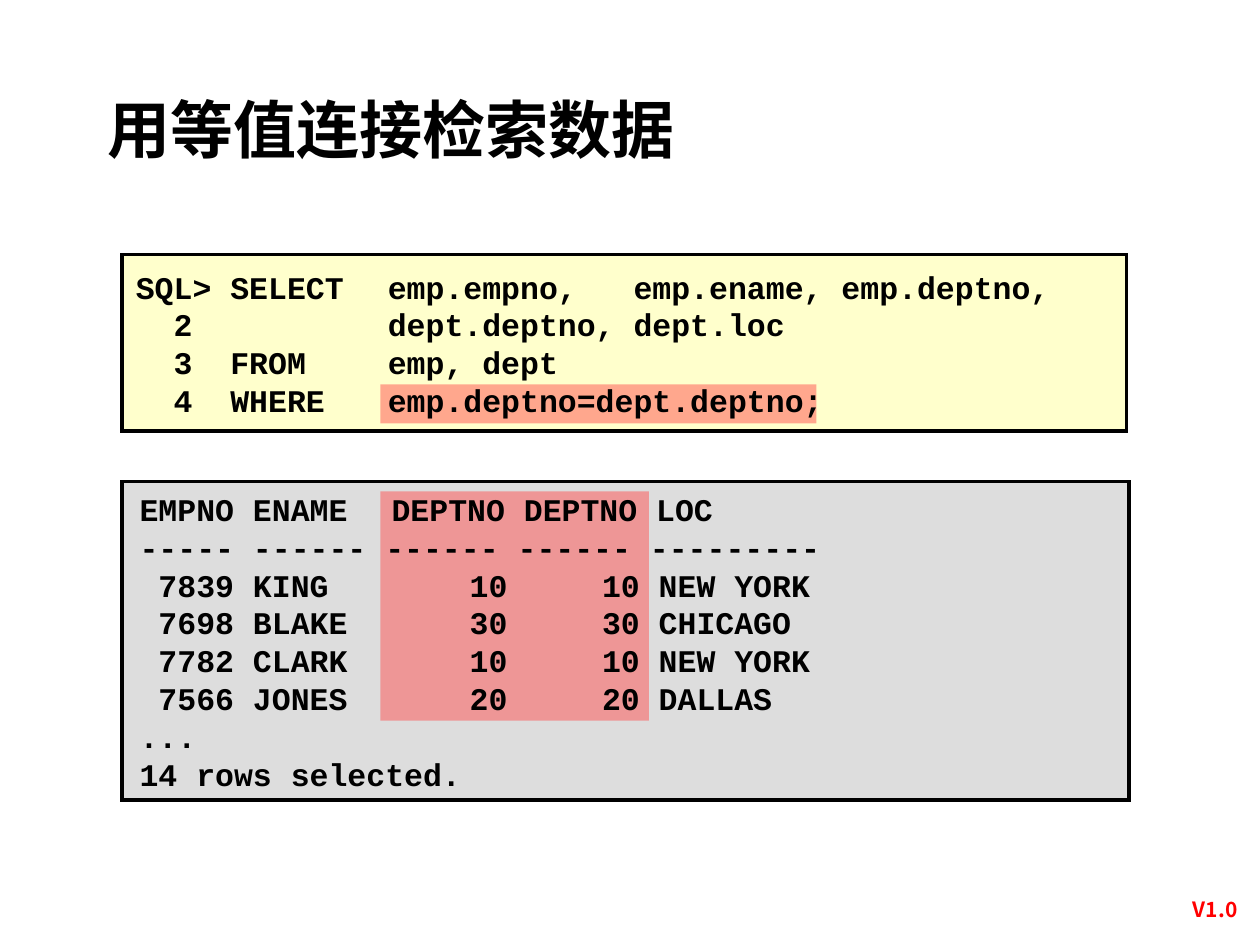
"""Build the slide on retrieving data with an equijoin."""
from dataclasses import dataclass

from lxml import etree
from pptx import Presentation
from pptx.dml.color import RGBColor
from pptx.enum.shapes import MSO_SHAPE
from pptx.enum.text import MSO_ANCHOR, MSO_AUTO_SIZE, PP_ALIGN
from pptx.oxml.ns import qn
from pptx.util import Inches, Pt

RECT = MSO_SHAPE.RECTANGLE
TOP, MIDDLE = MSO_ANCHOR.TOP, MSO_ANCHOR.MIDDLE
LEFT, CENTER = PP_ALIGN.LEFT, PP_ALIGN.CENTER
NO_FIT = MSO_AUTO_SIZE.NONE
MONO, SANS = "Courier New", "Noto Sans CJK SC"
BLACK, RED, HIGHLIGHT = "000000", "FF0000", "FF5050"

QUERY = [
    "SQL> SELECT \temp.empno,   emp.ename, emp.deptno,\v  2\t\tdept.deptno, dept.loc",
    "  3  FROM   \temp, dept",
    "  4  WHERE  \temp.deptno=dept.deptno;",
]
RESULT = [
    "EMPNO ENAME \tDEPTNO DEPTNO LOC",
    "----- ------ ------ ------ ---------",
    " 7839 KING\t    \t10     10 NEW YORK",
    " 7698 BLAKE  \t    \t30     30 CHICAGO",
    " 7782 CLARK\t    \t10     10 NEW YORK",
    " 7566 JONES      \t20     20 DALLAS",
    "...",
    "14 rows selected.",
]


@dataclass
class Box:
    """Position and size in inches."""
    left: float
    top: float
    width: float
    height: float

    def lengths(self) -> tuple:
        """Return the four lengths."""
        return tuple(Inches(v) for v in (self.left, self.top, self.width, self.height))


@dataclass
class Panel:
    """A filled rectangle, outlined or translucent."""
    box: Box
    fill: str
    line: bool = True
    alpha: int = 100


@dataclass
class Code:
    """A block of monospaced lines with tab stops."""
    box: Box
    lines: list[str]
    tabs: list[float]
    anchor: MSO_ANCHOR = TOP


PANELS = [
    Panel(Box(0.97, 2.02, 7.97, 1.4), "FFFFCC"),
    Panel(Box(0.97, 3.82, 7.99, 2.53), "DDDDDD"),
    Panel(Box(3.02, 3.05, 3.46, 0.31), HIGHLIGHT, False, 50),
    Panel(Box(3.02, 3.9, 2.13, 1.82), HIGHLIGHT, False, 50),
]
CODES = [
    Code(Box(0.98, 2.01, 8, 1.43), QUERY, [1.31, 2], MIDDLE),
    Code(Box(1.01, 3.84, 7.96, 2.5), RESULT, [2, 2.62, 3.38, 4.62]),
]


def color(value: str) -> RGBColor:
    """Turn a hex string into a colour."""
    return RGBColor.from_string(value)


def style(p, size: float, name: str, value: str) -> None:
    """Format all runs of a paragraph in bold."""
    for r in p.runs:
        r.font.size, r.font.name, r.font.bold = Pt(size), name, True
        r.font.color.rgb = color(value)
        etree.SubElement(r.font._element, qn("a:ea"), typeface=name)


def add_panel(s, panel: Panel) -> None:
    """Draw a filled rectangle."""
    sp = s.shapes.add_shape(RECT, *panel.box.lengths())
    sp.shadow.inherit = False
    sp.fill.solid()
    sp.fill.fore_color.rgb = color(panel.fill)
    if panel.alpha < 100:
        clr = sp._element.spPr.find(f"{qn('a:solidFill')}/{qn('a:srgbClr')}")
        etree.SubElement(clr, qn("a:alpha"), val=str(panel.alpha * 1000))
    if panel.line:
        sp.line.color.rgb = color(BLACK)
        sp.line.width = Pt(2)
        ln = sp._element.spPr.find(qn("a:ln"))
        etree.SubElement(ln, qn("a:miter"), lim="800000")
    else:
        sp.line.fill.background()


def add_code(s, code: Code) -> None:
    """Write a block of code lines."""
    tf = s.shapes.add_textbox(*code.box.lengths()).text_frame
    tf.word_wrap = True
    tf.vertical_anchor = code.anchor
    tf.text = "\n".join(code.lines)
    for p in tf.paragraphs:
        tabs = etree.SubElement(p._p.get_or_add_pPr(), qn("a:tabLst"))
        for pos in code.tabs:
            etree.SubElement(tabs, qn("a:tab"), pos=str(Inches(pos)), algn="l")
        style(p, 18, MONO, BLACK)


def add_title(s, text: str) -> None:
    """Place and format the title."""
    sp = s.shapes.title
    sp.left, sp.top, sp.width, sp.height = Box(0.75, 0.67, 8.5, 1).lengths()
    tf = sp.text_frame
    tf.text = text
    tf.auto_size = NO_FIT
    tf.vertical_anchor = TOP
    p = tf.paragraphs[0]
    p.alignment = LEFT
    style(p, 36, SANS, BLACK)


def add_version(s, text: str) -> None:
    """Write the version mark in the corner."""
    tf = s.shapes.add_textbox(*Box(9.25, 7.07, 0.79, 0.3).lengths()).text_frame
    tf.word_wrap = True
    tf.text = text
    p = tf.paragraphs[0]
    p.alignment = CENTER
    style(p, 12, SANS, RED)


def main() -> None:
    """Build and save the slide."""
    prs = Presentation()
    prs.slide_width, prs.slide_height = Inches(10), Inches(7.5)
    s = prs.slides.add_slide(prs.slide_layouts[5])
    add_version(s, "V1.0")
    add_title(s, "用等值连接检索数据")
    for panel in PANELS:
        add_panel(s, panel)
    for code in CODES:
        add_code(s, code)
    prs.save("out.pptx")


if __name__ == "__main__":
    main()
